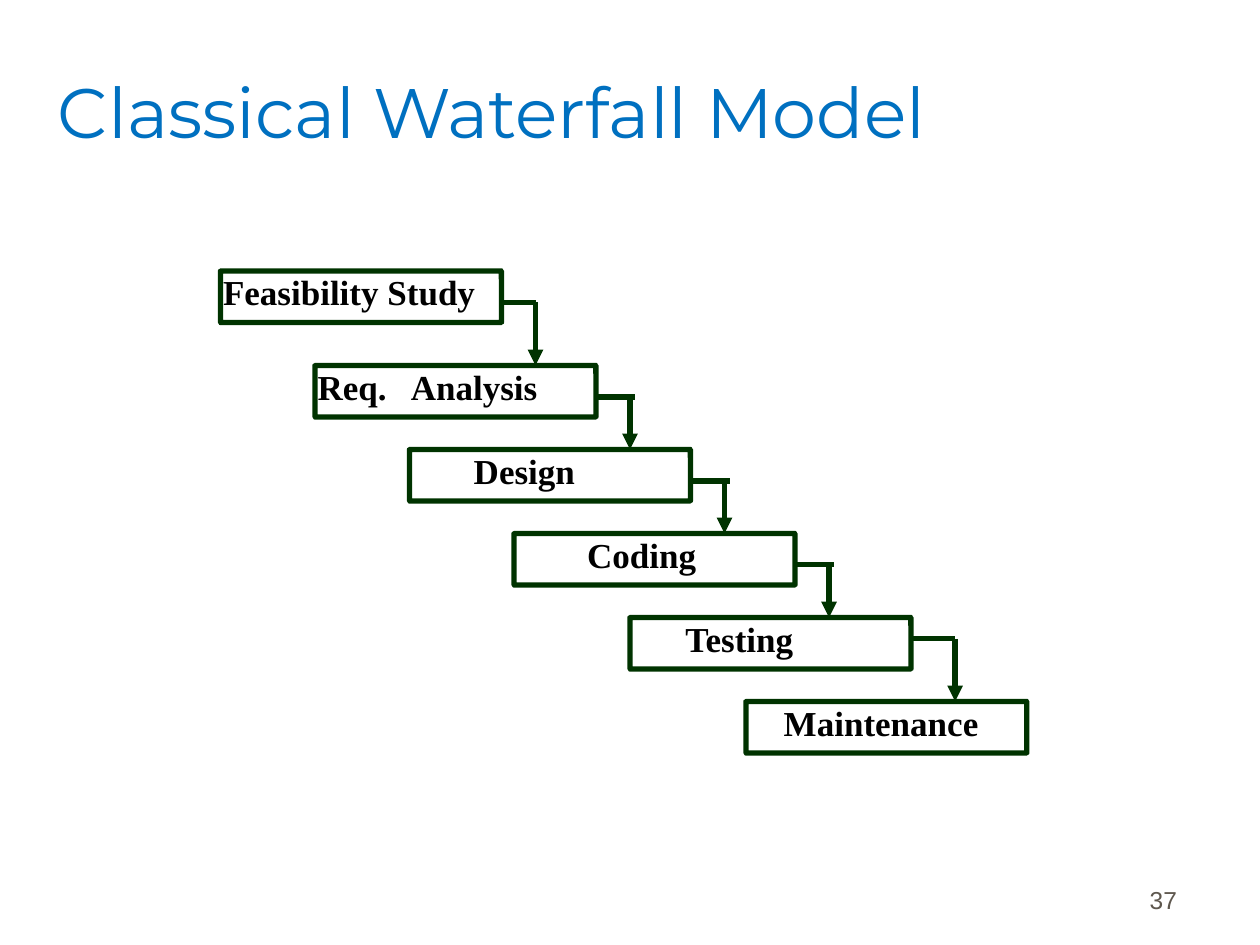
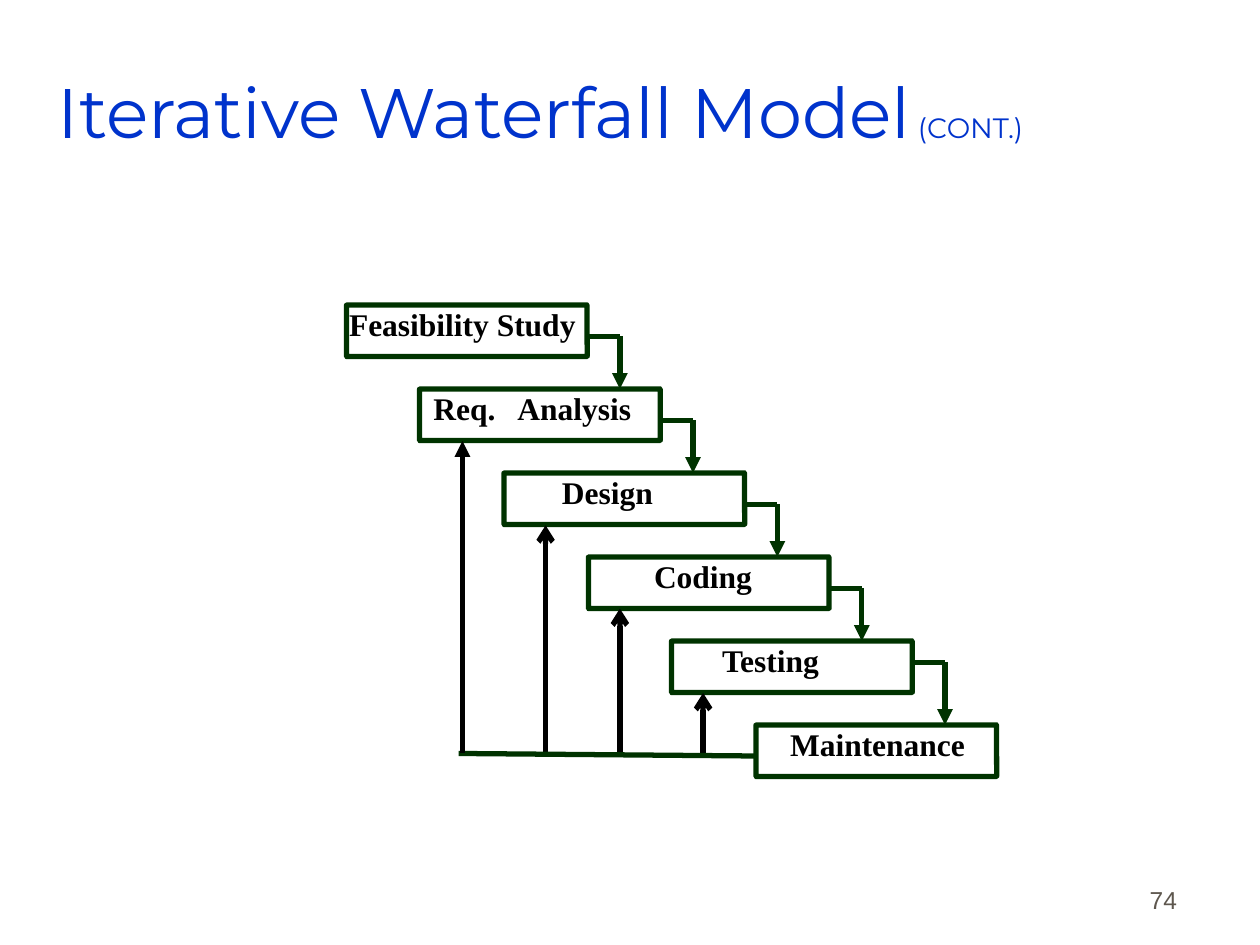
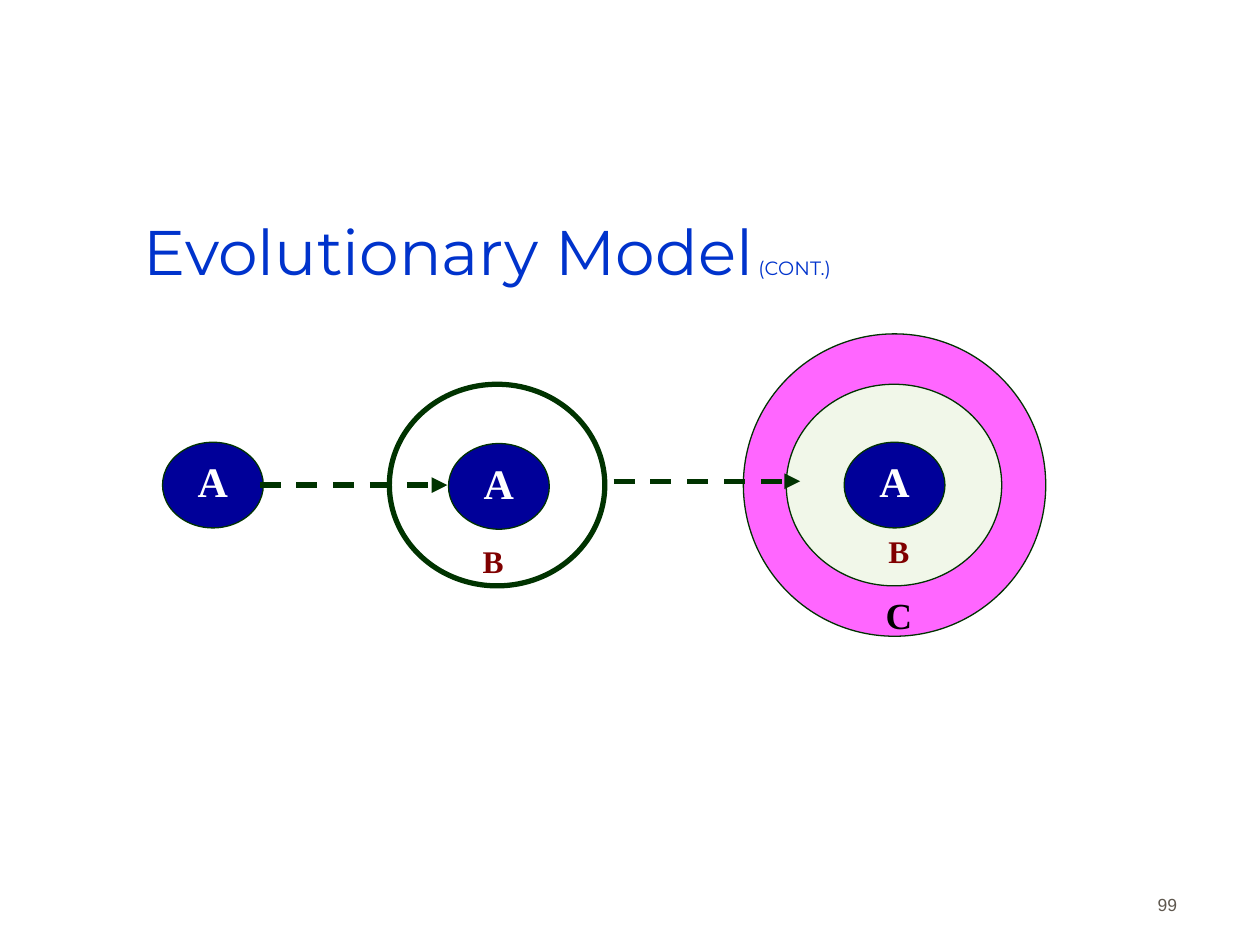
from pptx import Presentation
from pptx.dml.color import RGBColor
from pptx.enum.dml import MSO_LINE_DASH_STYLE as Dash
from pptx.enum.shapes import MSO_CONNECTOR as Connector, MSO_SHAPE as Shape
from pptx.enum.text import MSO_ANCHOR as Anchor, PP_ALIGN as Align
from pptx.oxml.ns import qn
from pptx.util import Inches, Pt
from lxml.etree import SubElement

COLORS = {
    "sky": "0070C0",
    "blue": "0033CC",
    "navy": "000099",
    "green": "003300",
    "pale": "F1F7E9",
    "pink": "FF66FF",
    "maroon": "800000",
    "gray": "5E574E",
    "black": "000000",
    "white": "FFFFFF",
}
FORMATS = {
    "title": {"name": "Montserrat"},
    "number": {"name": "Arial"},
    "label": {"name": "Times New Roman", "bold": True},
}
STAGES = ["Feasibility Study", "Req.\tAnalysis", "Design", "Coding", "Testing", "Maintenance"]
BOX_HEIGHT = 0.41


def color(name):
    return RGBColor.from_string(COLORS[name])


def set_frame(shape, anchor, side=0.02, edge=0.05, left=None):
    frame = shape.text_frame
    values = {
        "word_wrap": True,
        "vertical_anchor": anchor,
        "margin_left": Inches(side if left is None else left),
        "margin_right": Inches(side),
        "margin_top": Inches(edge),
        "margin_bottom": Inches(edge),
    }
    for name, value in values.items():
        setattr(frame, name, value)
    return frame.paragraphs[0]


def add_run(paragraph, text, kind, size, color_name):
    run = paragraph.add_run()
    run.text = text
    for name, value in FORMATS[kind].items():
        setattr(run.font, name, value)
    run.font.size = Pt(size)
    run.font.color.rgb = color(color_name)


def add_text_box(slide, left, top, width, height):
    return slide.shapes.add_textbox(Inches(left), Inches(top), Inches(width), Inches(height))


def add_title(slide, text, color_name, place=(0.44, 0.25, 8.5, 1.25), size=40, suffix_size=None):
    paragraph = set_frame(add_text_box(slide, *place), Anchor.MIDDLE)
    add_run(paragraph, text, "title", size, color_name)
    if suffix_size:
        add_run(paragraph, " (CONT.)", "title", suffix_size, color_name)


def add_page_number(slide, number, size=14):
    paragraph = set_frame(add_text_box(slide, 7.36, 6.81, 2.08, 0.5), Anchor.BOTTOM, side=0.1)
    paragraph.alignment = Align.RIGHT
    add_run(paragraph, str(number), "number", size, "gray")


def add_outlined(slide, preset, place, fill=None, weight=3):
    shape = slide.shapes.add_shape(preset, *map(Inches, place))
    shape.shadow.inherit = False
    if fill:
        shape.fill.solid()
        shape.fill.fore_color.rgb = color(fill)
    else:
        shape.fill.background()
    shape.line.color.rgb = color("green")
    shape.line.width = Pt(weight)
    return shape


def add_line(slide, start, end, head=None, color_name="green", dash=None):
    line = slide.shapes.add_connector(Connector.STRAIGHT, *map(Inches, (*start, *end)))
    line.line.color.rgb = color(color_name)
    line.line.width = Pt(3)
    if dash:
        line.line.dash_style = dash
    if head:
        SubElement(line.line._get_or_add_ln(), qn("a:tailEnd"), type=head)
    SubElement(line._element.spPr, qn("a:effectLst"))


def add_stage(slide, text, left, top, width, size, indent):
    box = add_outlined(slide, Shape.ROUNDED_RECTANGLE, (left, top, width, BOX_HEIGHT))
    box.adjustments[0] = 0.004
    paragraph = set_frame(box, Anchor.TOP, left=0.02 + indent)
    paragraph.alignment = Align.LEFT
    paragraph.line_spacing = 0.85
    if "\t" in text:
        tabs = SubElement(paragraph._p.get_or_add_pPr(), qn("a:tabLst"))
        SubElement(tabs, qn("a:tab"), pos=str(Inches(0.037 * size)), algn="l")
    add_run(paragraph, text, "label", size, "black")


def add_staircase(slide, lefts, tops, width, size, indents, turns, overshoots):
    """Draw the stages and, from each to the next, a stub and a down arrow."""
    for text, left, top, indent in zip(STAGES, lefts, tops, indents):
        add_stage(slide, text, left, top, width, size, indent)
    exits = [0.25] * 4 + [0.17]
    for left, top, below, drop, turn, overshoot in zip(
            lefts, tops, tops[1:], exits, turns, overshoots):
        y = top + drop
        add_line(slide, (left + width, y), (turn + overshoot, y))
        add_line(slide, (turn, y), (turn, below), "triangle")


def add_core(slide, left, top):
    core = add_outlined(slide, Shape.OVAL, (left, top, 0.8, 0.68), "navy", 0.75)
    paragraph = set_frame(core, Anchor.MIDDLE, 0.01, 0.04)
    paragraph.alignment = Align.CENTER
    paragraph.line_spacing = 0.85
    add_run(paragraph, "A", "label", 24, "white")


def add_ring_label(slide, text, left, top, size, color_name):
    paragraph = set_frame(add_text_box(slide, left, top, 0.57, 0.68), Anchor.TOP, 0.01, 0.04)
    paragraph.line_spacing = 0.85
    add_run(paragraph, text, "label", size, color_name)


def build_classical(slide):
    add_page_number(slide, 37)
    add_title(slide, "Classical Waterfall Model", "sky")
    add_staircase(
        slide,
        lefts=[1.75, 2.5, 3.25, 4.08, 5, 5.92],
        tops=[2.15] + [2.9 + 2 / 3 * step for step in range(5)],
        width=2.23,
        size=20,
        indents=[0, 0, 0.49, 0.56, 0.42, 0.28],
        turns=[4.25, 5, 5.75, 6.58, 7.58],
        overshoots=[0, 0.04, 0.04, 0.04, 0],
    )


def build_iterative(slide):
    add_page_number(slide, 74)
    add_title(slide, "Iterative Waterfall Model", "blue", suffix_size=16)
    lefts = [2.75, 3.33, 4, 4.67, 5.33, 6]
    add_staircase(
        slide,
        lefts=lefts,
        tops=[2.42 + 2 / 3 * step for step in range(6)],
        width=1.91,
        size=18,
        indents=[0, 0.09, 0.44, 0.5, 0.38, 0.25],
        turns=[left + 2.17 for left in lefts[:-1]],
        overshoots=[0] * 5,
    )
    for x, tip, head in [(5.58, 5.5, "arrow"), (4.33, 4.17, "arrow"), (4.92, 4.83, "arrow")]:
        add_line(slide, (x, 6), (x, tip), head, "black")
    add_line(slide, (6, 6), (3.64, 5.98))
    add_line(slide, (3.67, 5.98), (3.67, 3.5), "triangle", "black")


def build_evolutionary(slide):
    add_title(slide, "Evolutionary Model", "blue", (1.12, 1.52, 6.37, 0.94), 36, 11)
    add_page_number(slide, 99, 10)
    add_outlined(slide, Shape.OVAL, (5.9, 2.65, 2.4, 2.4), "pink", 0.75)
    add_outlined(slide, Shape.OVAL, (6.24, 3.05, 1.71, 1.6), "pale", 0.75)
    add_core(slide, 1.29, 3.51)
    add_outlined(slide, Shape.OVAL, (3.09, 3.05, 1.71, 1.6))
    for start_x, end_x, y in [(2.06, 3.55, 3.85), (4.87, 6.35, 3.82)]:
        add_line(slide, (start_x, y), (end_x, y), "triangle", dash=Dash.DASH)
    add_ring_label(slide, "B", 3.82, 4.31, 18, "maroon")
    add_ring_label(slide, "C", 7.02, 4.72, 21, "black")
    add_core(slide, 3.56, 3.52)
    add_core(slide, 6.7, 3.51)
    add_ring_label(slide, "B", 7.04, 4.23, 18, "maroon")


def main():
    presentation = Presentation()
    presentation.slide_width = Inches(10)
    presentation.slide_height = Inches(7.5)
    blank = presentation.slide_layouts[6]
    for build in (build_classical, build_iterative, build_evolutionary):
        build(presentation.slides.add_slide(blank))
    presentation.save("out.pptx")


if __name__ == "__main__":
    main()
